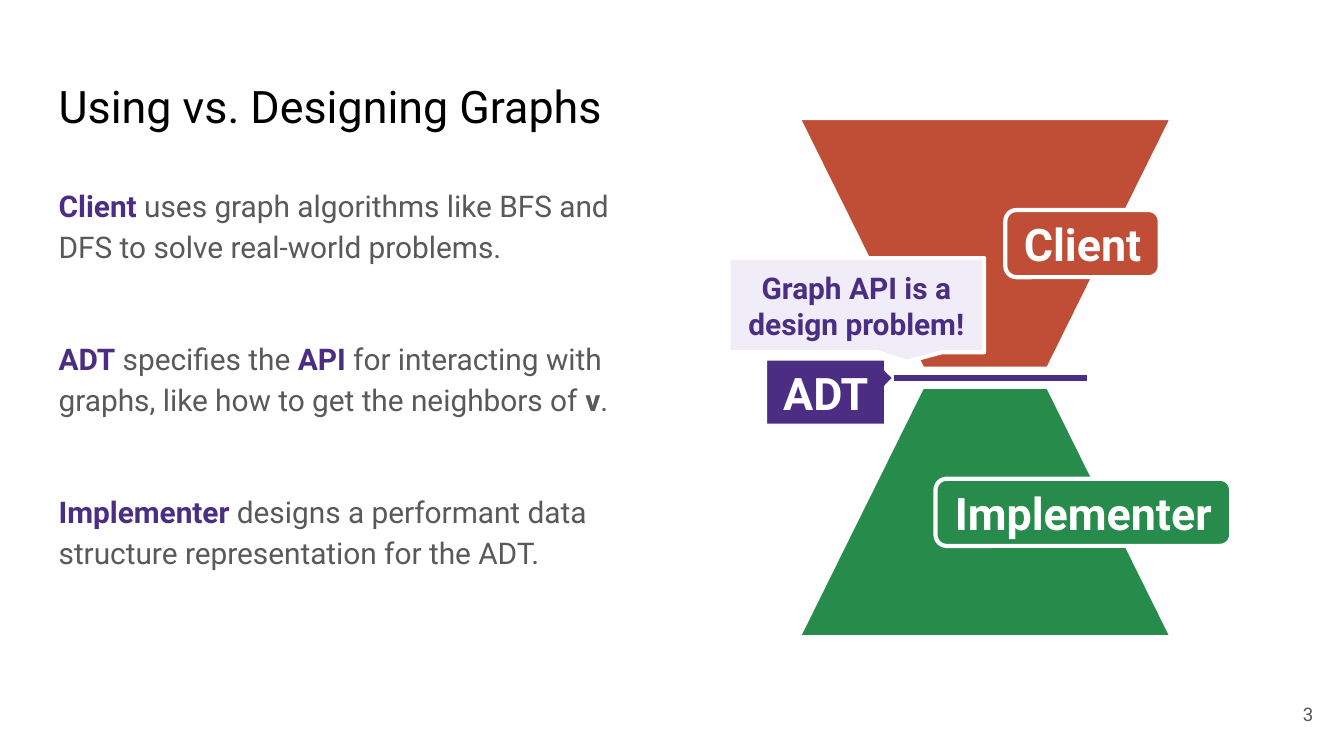
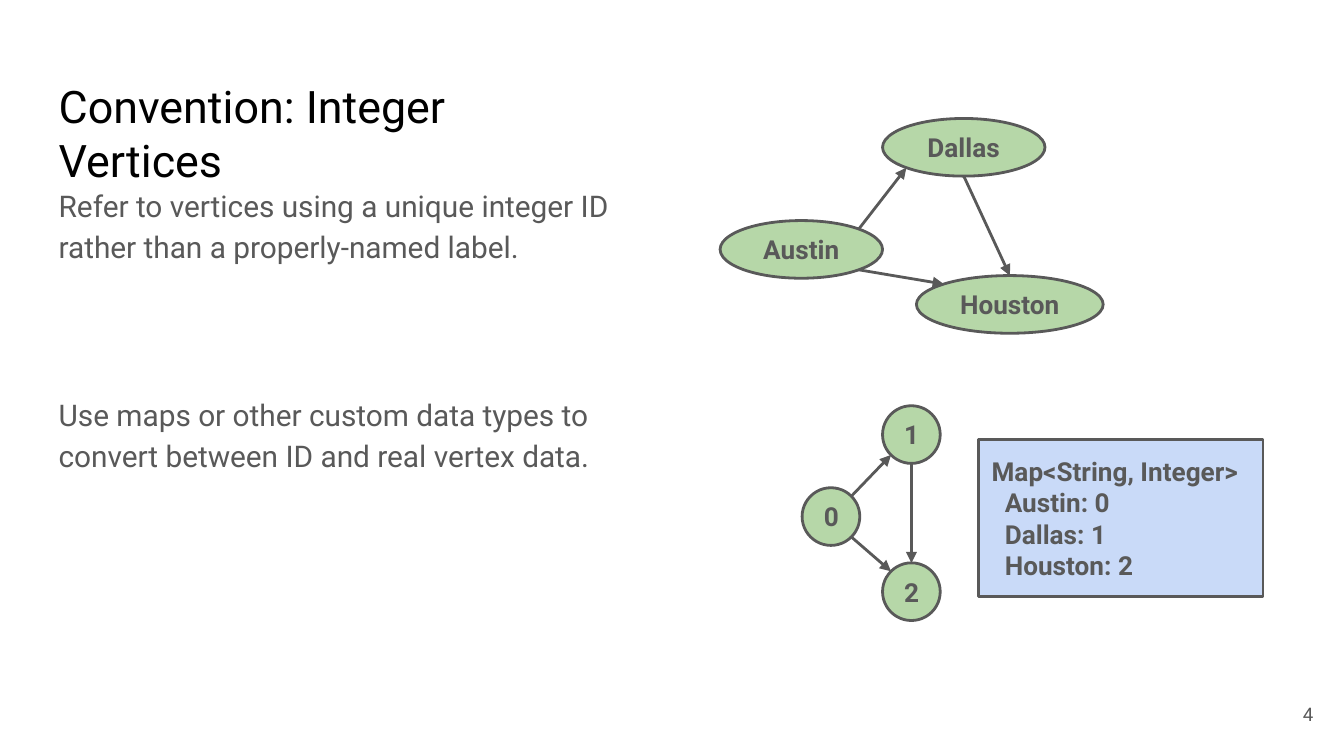
"""Build two slides on graph abstractions and integer vertices."""
import collections
import math

import pptx
import pptx.dml.color
import pptx.enum.shapes
import pptx.enum.text
import pptx.oxml.ns
import pptx.oxml.xmlchemy
import pptx.util
from lxml import etree

Cm = pptx.util.Cm
Pt = pptx.util.Pt
RGBColor = pptx.dml.color.RGBColor
Shape = pptx.enum.shapes.MSO_SHAPE
Align = pptx.enum.text.PP_ALIGN
Anchor = pptx.enum.text.MSO_ANCHOR
qn = pptx.oxml.ns.qn

BLACK = RGBColor(0x00, 0x00, 0x00)
WHITE = RGBColor(0xFF, 0xFF, 0xFF)
GRAY = RGBColor(0x59, 0x59, 0x59)
PURPLE = RGBColor(0x4B, 0x2E, 0x83)
LAVENDER = RGBColor(0xF0, 0xEC, 0xF8)
GREEN = RGBColor(0x27, 0x8B, 0x4C)
RED = RGBColor(0xC0, 0x4E, 0x36)
VERTEX_GREEN = RGBColor(0xB6, 0xD7, 0xA8)
MAP_BLUE = RGBColor(0xC9, 0xDA, 0xF8)

FONT = "Roboto"
PADDING = Cm(0.25)
DIAGONAL = math.sqrt(0.5)
RIM = {
    "top": (0, -1), "bottom": (0, 1),
    "top left": (-DIAGONAL, -DIAGONAL), "top right": (DIAGONAL, -DIAGONAL),
    "bottom left": (-DIAGONAL, DIAGONAL), "bottom right": (DIAGONAL, DIAGONAL),
}

Box = collections.namedtuple("Box", "left top width height")

TITLE_BOX = Box(0.86, 1.24, 10.97, 1.6)
BODY_BOX = Box(0.86, 3.2, 10.97, 9.5)
NUMBER_BOX = Box(23.55, 12.95, 1.52, 1.09)
HOURGLASS_BOX = Box(13.77, 2.06, 9.5, 10.16)
CITY_BOX = Box(13.61, 2.24, 7.24, 4.06)
INTEGER_BOX = Box(15.16, 7.67, 2.61, 4.06)
MAP_BOX = Box(18.49, 8.31, 5.38, 2.97)

TITLE_TEXT = {"size": Pt(24), "color": BLACK}
BODY_TEXT = {"size": Pt(16), "color": GRAY}
BODY_BOLD = {**BODY_TEXT, "bold": True}
KEY_TEXT = {**BODY_BOLD, "color": PURPLE}
NUMBER_TEXT = {"size": Pt(10), "color": GRAY}
LABEL_TEXT = {"size": Pt(24), "color": WHITE, "bold": True}
VERTEX_TEXT = {"size": Pt(14), "color": GRAY, "bold": True}


def within(region, left, top, width, height):
    """Return a box given relative to a region."""
    return Box(region.left + left, region.top + top, width, height)


def lengths(box):
    """Return the four measures of a box as lengths."""
    return [Cm(value) for value in box]


def set_attributes(target, values):
    """Set each named attribute of an object."""
    for name, value in values.items():
        setattr(target, name, value)


def add_run(paragraph, text, style):
    """Append formatted text to a paragraph."""
    run = paragraph.add_run()
    run.text = text
    font_values = {"name": FONT, **style}
    run.font.color.rgb = font_values.pop("color")
    set_attributes(run.font, font_values)


def write(shape, paragraphs, anchor=Anchor.MIDDLE):
    """Fill a shape with (runs, paragraph format) pairs."""
    frame = shape.text_frame
    set_attributes(frame, {
        "word_wrap": True, "vertical_anchor": anchor,
        "margin_left": PADDING, "margin_right": PADDING,
        "margin_top": PADDING, "margin_bottom": PADDING,
    })
    for index, (runs, layout) in enumerate(paragraphs):
        paragraph = frame.add_paragraph() if index else frame.paragraphs[0]
        set_attributes(paragraph, layout)
        for text, style in runs:
            add_run(paragraph, text, style)


def add_text(slide, box, paragraphs, anchor=Anchor.TOP):
    """Add a text box."""
    write(slide.shapes.add_textbox(*lengths(box)), paragraphs, anchor)


def add_block(slide, kind, box, fill, line, line_width, adjustments=()):
    """Add a filled and outlined preset shape."""
    shape = slide.shapes.add_shape(kind, *lengths(box))
    shape.shadow.inherit = False
    shape.fill.solid()
    shape.fill.fore_color.rgb = fill
    shape.line.color.rgb = line
    shape.line.width = Pt(line_width)
    for index, value in enumerate(adjustments):
        shape.adjustments[index] = value
    return shape


def add_label(slide, kind, box, fill, adjustments, text, style):
    """Add a white-edged label with centred text."""
    shape = add_block(slide, kind, box, fill, WHITE, 2.25, adjustments)
    write(shape, [([(text, style)], {"alignment": Align.CENTER})])


def add_line(slide, start, end, color, width, arrow=False):
    """Add a straight line, with an arrowhead at its end if wanted."""
    points = [Cm(value) for value in (*start, *end)]
    connector = slide.shapes.add_connector(
        pptx.enum.shapes.MSO_CONNECTOR.STRAIGHT, *points)
    connector.line.color.rgb = color
    connector.line.width = Pt(width)
    properties = connector.element.spPr
    if arrow:
        etree.SubElement(properties.find(qn("a:ln")), qn("a:tailEnd"), type="triangle")
    etree.SubElement(properties, qn("a:effectLst"))


def add_frame(presentation, title, number, body):
    """Add a slide with its title, body text and slide number."""
    slide = presentation.slides.add_slide(presentation.slide_layouts[6])
    add_text(slide, TITLE_BOX, [([(title, TITLE_TEXT)], {})])
    paragraphs = [
        (runs, {"line_spacing": 1.15, "space_before": Pt(gap)}) for gap, runs in body
    ]
    add_text(slide, BODY_BOX, paragraphs)
    number_runs = [(str(number), NUMBER_TEXT)]
    add_text(slide, NUMBER_BOX, [(number_runs, {"alignment": Align.RIGHT})], Anchor.MIDDLE)
    return slide


def add_hourglass(slide, region):
    """Draw the client and implementer halves around the ADT line."""
    for top, color, rotation in ((5.08, GREEN, 0), (0, RED, 180)):
        half = add_block(slide, Shape.TRAPEZOID, within(region, 1.04, top, 7.62, 5.08),
                         color, WHITE, 12, [0.495])
        half.rotation = rotation
    rounded, callout = Shape.ROUNDED_RECTANGLE, Shape.ROUNDED_RECTANGULAR_CALLOUT
    add_label(slide, rounded, within(region, 3.91, 6.99, 5.59, 1.27),
              GREEN, [0.167], "Implementer", LABEL_TEXT)
    add_label(slide, rounded, within(region, 5.23, 1.91, 2.92, 1.27),
              RED, [0.167], "Client", LABEL_TEXT)
    add_label(slide, callout, within(region, 0.69, 4.72, 2.29, 1.27),
              PURPLE, [0.572, -0.213, 0], "ADT", LABEL_TEXT)
    middle = region.top + region.height / 2
    add_line(slide, (region.left + 3.12, middle), (region.left + 6.78, middle), PURPLE, 3)
    add_label(slide, callout, within(region, 0, 2.82, 4.83, 1.78),
              LAVENDER, [0.198, 0.6, 0], "Graph API is a design problem!", KEY_TEXT)


def rim_point(box, side):
    """Return the point of an ellipse's rim on the named side."""
    across, down = RIM[side]
    return (box.left + box.width / 2 * (1 + across),
            box.top + box.height / 2 * (1 + down))


def add_graph(slide, region, vertices, edges):
    """Draw labelled vertices and the arrows between their rims."""
    boxes = {}
    for name, left, top, width in vertices:
        boxes[name] = within(region, left, top, width, 1.09)
        vertex = add_block(slide, Shape.OVAL, boxes[name], VERTEX_GREEN, GRAY, 1.5)
        write(vertex, [([(name, VERTEX_TEXT)], {"alignment": Align.CENTER})])
    for source, source_side, target, target_side in edges:
        add_line(slide, rim_point(boxes[source], source_side),
                 rim_point(boxes[target], target_side), GRAY, 1.5, arrow=True)


def add_map(slide, box, heading, entries):
    """Draw the map with its indented entries."""
    shape = add_block(slide, Shape.RECTANGLE, box, MAP_BLUE, GRAY, 1.5)
    lines = [heading] + [f"{key}: {value}" for key, value in entries]
    write(shape, [([(line, VERTEX_TEXT)], {"alignment": Align.LEFT}) for line in lines])
    for paragraph in shape.text_frame.paragraphs[1:]:
        paragraph._p.get_or_add_pPr().set("marL", str(Cm(0.25)))


def add_design_slide(presentation):
    """Add the slide on using and designing graphs."""
    body = [
        (0, [("Client", KEY_TEXT),
             (" uses graph algorithms like BFS and DFS to solve real-world problems.",
              BODY_TEXT)]),
        (37.8, [("ADT", KEY_TEXT), (" specifies the ", BODY_TEXT), ("API", KEY_TEXT),
                (" for interacting with graphs, like how to get the neighbors of ",
                 BODY_TEXT),
                ("v", BODY_BOLD), (".", BODY_TEXT)]),
        (37.8, [("Implementer", KEY_TEXT),
                (" designs a performant data structure representation for the ADT.",
                 BODY_TEXT)]),
    ]
    slide = add_frame(presentation, "Using vs. Designing Graphs", 3, body)
    add_hourglass(slide, HOURGLASS_BOX)


def add_convention_slide(presentation):
    """Add the slide on integer vertices."""
    body = [
        (0, [("Refer to vertices using a unique integer ID rather than "
              "a properly-named label.", BODY_TEXT)]),
        (67.6, [("Use maps or other custom data types to convert between ID "
                 "and real vertex data.", BODY_TEXT)]),
    ]
    slide = add_frame(presentation, "Convention: Integer Vertices", 4, body)
    cities = [("Austin", 0, 1.93, 3.07), ("Dallas", 3.07, 0, 3.07),
              ("Houston", 3.71, 2.97, 3.53)]
    integers = [("0", 0, 1.55, 1.09), ("1", 1.52, 0, 1.09), ("2", 1.52, 2.97, 1.09)]
    for region, vertices in ((CITY_BOX, cities), (INTEGER_BOX, integers)):
        first, second, third = (vertex[0] for vertex in vertices)
        add_graph(slide, region, vertices, [
            (first, "top right", second, "bottom left"),
            (first, "bottom right", third, "top left"),
            (second, "bottom", third, "top"),
        ])
    entries = [(city[0], index) for index, city in enumerate(cities)]
    add_map(slide, MAP_BOX, "Map<String, Integer>", entries)


def main():
    """Build and save the presentation."""
    presentation = pptx.Presentation()
    set_attributes(presentation, {"slide_width": Cm(25.4), "slide_height": Cm(14.29)})
    add_design_slide(presentation)
    add_convention_slide(presentation)
    presentation.save("out.pptx")


if __name__ == "__main__":
    main()
